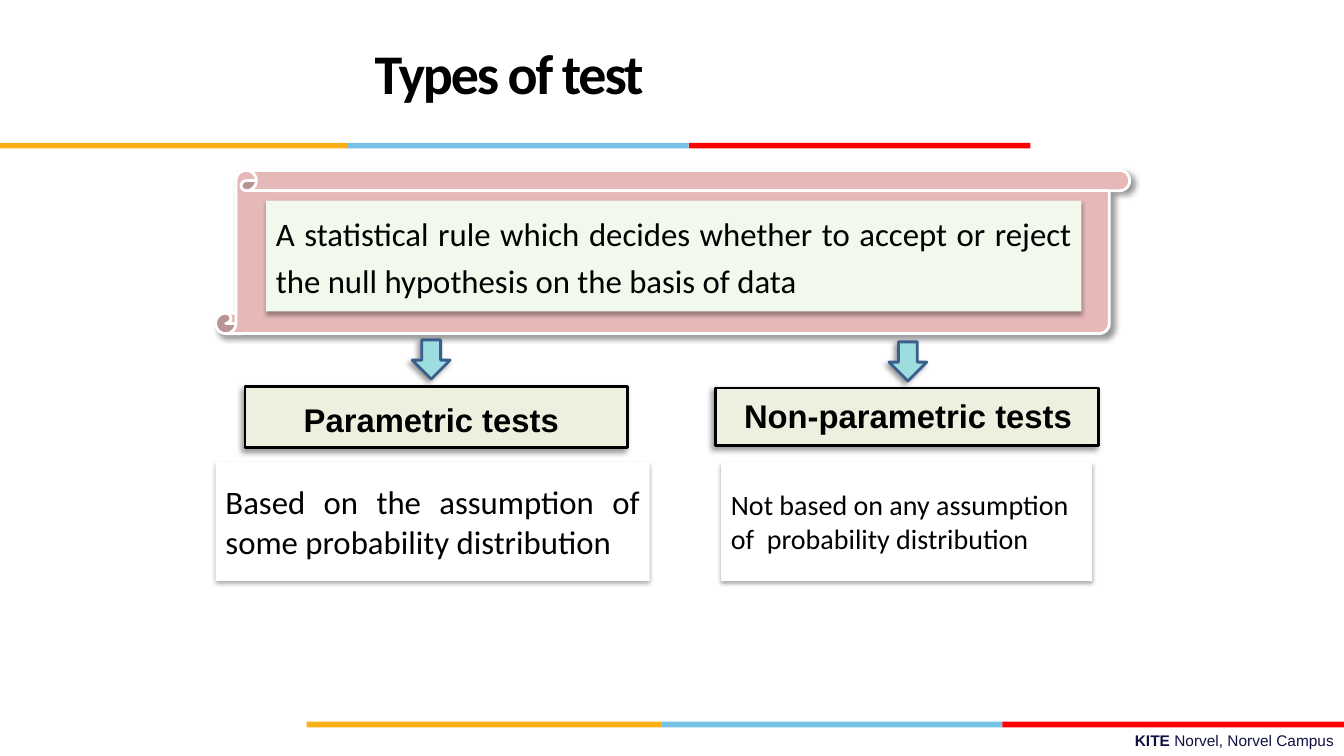
from dataclasses import dataclass

from lxml import etree
from pptx import Presentation
from pptx.dml.color import RGBColor
from pptx.enum.shapes import MSO_SHAPE
from pptx.enum.text import MSO_ANCHOR, PP_ALIGN
from pptx.oxml.ns import qn
from pptx.util import Pt

RECT, SCROLL = MSO_SHAPE.RECTANGLE, MSO_SHAPE.VERTICAL_SCROLL
PANEL, ARROW = MSO_SHAPE.ROUND_2_DIAG_RECTANGLE, MSO_SHAPE.DOWN_ARROW
LEFT, CENTER, RIGHT, JUSTIFY = (
    PP_ALIGN.LEFT, PP_ALIGN.CENTER, PP_ALIGN.RIGHT, PP_ALIGN.JUSTIFY)
TOP, MIDDLE = MSO_ANCHOR.TOP, MSO_ANCHOR.MIDDLE


@dataclass(frozen=True)
class Theme:
    text: str = "000000"
    footer: str = "101141"
    white: str = "FFFFFF"
    stripes: tuple = ("FCB017", "76C2E5", "FF0000")
    scroll: str = "E6B9B8"
    definition: str = "F1F8EC"
    heading: str = "EBF1DE"
    arrow: str = "9DDCDF"
    arrow_line: str = "3A5F8C"
    body_font: str = "Calibri"
    label_font: str = "Arial"
    title_size: float = 40
    text_size: float = 23.4
    small_size: float = 20
    footer_size: float = 11
    # opacity %, blur pt, distance pt, direction degrees
    soft_shadow: tuple = (35, 3.1, 1.8, 90)
    right_shadow: tuple = (40, 4, 3, 45)
    left_shadow: tuple = (40, 4, 3, 135)


THEME = Theme()


def add_shadow(shape, shadow):
    opacity, blur, distance, direction = shadow
    effects = shape._element.spPr.find(qn("a:effectLst"))
    outer = etree.SubElement(
        effects, qn("a:outerShdw"), blurRad=str(Pt(blur)), dist=str(Pt(distance)),
        dir=str(direction * 60000), algn="ctr", rotWithShape="0")
    color = etree.SubElement(outer, qn("a:srgbClr"), val=THEME.text)
    etree.SubElement(color, qn("a:alpha"), val=str(opacity * 1000))


def add_block(slide, kind, box, fill, line=None, shadow=None):
    block = slide.shapes.add_shape(kind, *map(Pt, box))
    block.fill.solid()
    block.fill.fore_color.rgb = RGBColor.from_string(fill)
    if line:
        block.line.color.rgb = RGBColor.from_string(line)
        block.line.width = Pt(2)
    else:
        block.line.fill.background()
    block.shadow.inherit = False
    if shadow:
        add_shadow(block, shadow)
    if kind == PANEL:
        block.adjustments[0] = block.adjustments[1] = 0
    return block


def add_textbox(slide, box):
    return slide.shapes.add_textbox(*map(Pt, box))


def write(holder, text, size, font=THEME.body_font, color=THEME.text,
          bold=None, align=LEFT, anchor=TOP, spacing=None):
    """Put one paragraph into a shape and return it."""
    frame = holder.text_frame
    frame.word_wrap = True
    frame.vertical_anchor = anchor
    paragraph = frame.paragraphs[0]
    paragraph.alignment = align
    paragraph.line_spacing = spacing
    paragraph.add_run().text = text
    paragraph.font.name = font
    paragraph.font.size = Pt(size)
    paragraph.font.bold = bold
    paragraph.font.color.rgb = RGBColor.from_string(color)
    return paragraph


def add_stripes(slide, edges, top, height):
    """Draw one coloured bar between each pair of neighbouring edges."""
    for start, end, color in zip(edges, edges[1:], THEME.stripes):
        add_block(slide, RECT, (start, top, end - start, height), color)


def add_title(slide, box):
    title = write(add_textbox(slide, box), "Types of test", THEME.title_size,
                  bold=True, align=CENTER, anchor=MIDDLE, spacing=Pt(36))
    title.runs[0]._r.get_or_add_rPr().set("spc", "-150")


def add_definition(slide, box):
    left, top, width, height = box
    add_block(slide, SCROLL, box, THEME.scroll, THEME.white, THEME.right_shadow)
    definition = add_block(
        slide, PANEL, (left + 36, top + 21.6, width - 70.5, height - 37.4),
        THEME.definition, shadow=THEME.soft_shadow)
    write(definition,
          "A statistical rule which decides whether to accept or reject "
          "the null hypothesis on the basis of data",
          THEME.text_size, align=JUSTIFY, spacing=1.2)


def add_test_type(slide, heading_box, label_offset, label, panel_box, basis,
                  basis_size, basis_align):
    """Draw an arrow, a framed heading and the panel below it."""
    left, top, width, height = heading_box
    arrow_center = left + width / 2 + label_offset[0]
    add_block(slide, ARROW, (arrow_center - 13.5, top - 33, 27, 28),
              THEME.arrow, THEME.arrow_line, THEME.left_shadow)
    add_block(slide, RECT, heading_box, THEME.heading, THEME.text,
              THEME.left_shadow)
    label_box = (left + label_offset[0], top + label_offset[1], width, 35)
    write(add_textbox(slide, label_box), label, THEME.text_size,
          THEME.label_font, bold=True, align=CENTER)
    panel = add_block(slide, PANEL, panel_box, THEME.white,
                      shadow=THEME.soft_shadow)
    write(panel, basis, basis_size, align=basis_align, anchor=MIDDLE)


def add_footer(slide, box):
    footer = write(add_textbox(slide, box), "KITE ", THEME.footer_size,
                   THEME.label_font, THEME.footer, align=RIGHT)
    footer.runs[0].font.bold = True
    footer.add_run().text = "Norvel, Norvel Campus"


def main():
    deck = Presentation()
    deck.slide_width, deck.slide_height = Pt(960), Pt(540)
    slide = deck.slides.add_slide(deck.slide_layouts[6])
    add_footer(slide, (344, 519, 616, 21))
    add_stripes(slide, (219, 472.5, 716, 960), 515.5, 4)
    add_stripes(slide, (0, 248, 492, 736), 102, 4)
    add_title(slide, (31.7, 12.2, 664, 90))
    add_definition(slide, (154, 121.7, 653, 116.6))
    add_test_type(slide, (175, 275.8, 273, 44), (-3.5, 6.4),
                  "Parametric tests", (154, 330, 310, 85),
                  "Based on the assumption of some probability distribution",
                  THEME.text_size, JUSTIFY)
    add_test_type(slide, (511, 277.2, 274, 41), (0.5, 2.2),
                  "Non-parametric tests", (515, 330, 265, 85),
                  "Not based on any assumption of  probability distribution",
                  THEME.small_size, LEFT)
    deck.save("out.pptx")


if __name__ == "__main__":
    main()
